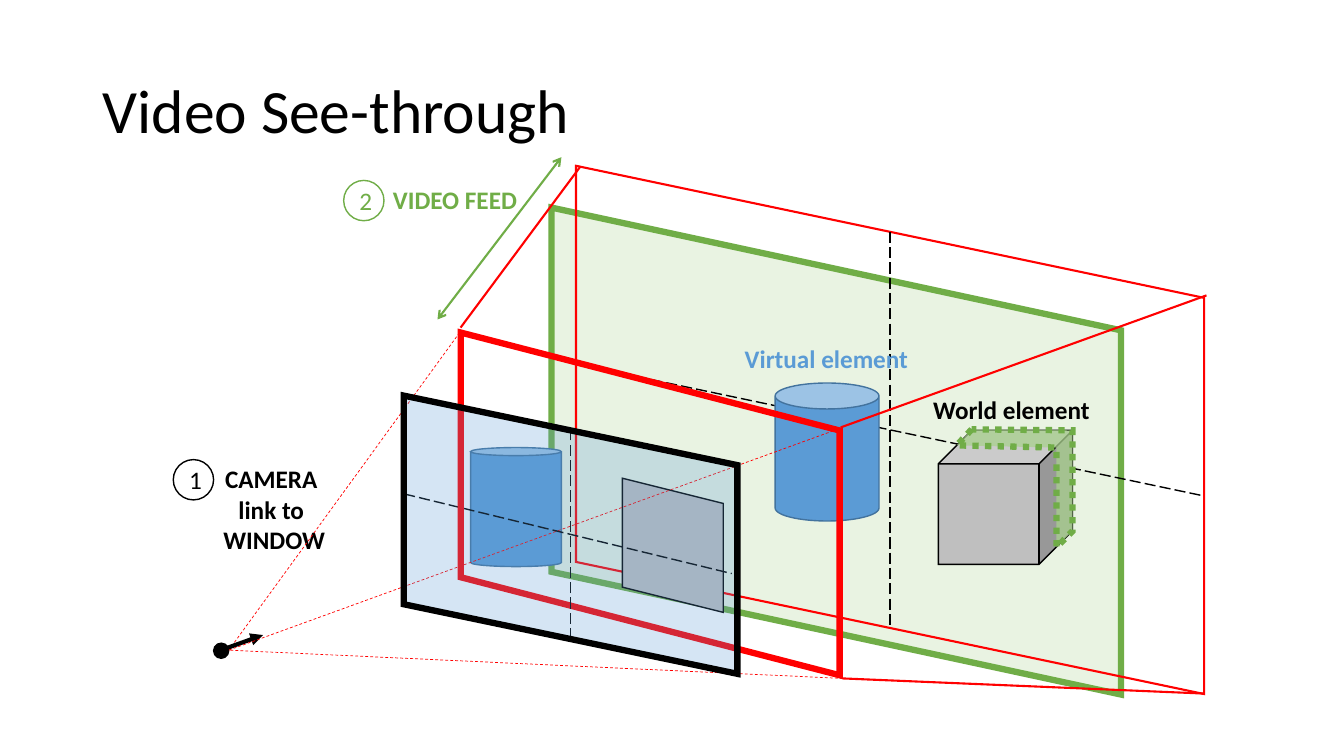
"""Build the slide on video see-through display geometry."""
from lxml import etree
from pptx import Presentation
from pptx.dml.color import RGBColor
from pptx.enum import dml, shapes, text
from pptx.oxml import ns
from pptx.util import Pt

INK = {"black": "000000", "white": "FFFFFF", "red": "FF0000",
       "green": "70AD47", "mint": "A9D18E", "blue": "5B9BD5",
       "navy": "43739E", "gray": "BFBFBF"}
RGB = {name: RGBColor.from_string(code) for name, code in INK.items()}
KIND = shapes.MSO_SHAPE
DASH = dml.MSO_LINE

deck = Presentation()
deck.slide_width, deck.slide_height = Pt(960), Pt(540)
slide = deck.slides.add_slide(deck.slide_layouts[5])
tree = slide.shapes


def style(item, fill, edge, width, alpha=100, dash=None):
    """Set fill, outline and sharp corners, with no shadow."""
    item.shadow.inherit = False
    if fill:
        item.fill.solid()
        item.fill.fore_color.rgb = RGB[fill]
        if alpha < 100:
            tone = item.fill._xPr.find(".//" + ns.qn("a:srgbClr"))
            etree.SubElement(tone, ns.qn("a:alpha"), val=str(alpha * 1000))
    else:
        item.fill.background()
    item.line.color.rgb = RGB[edge]
    item.line.width = Pt(width)
    if dash:
        item.line.dash_style = dash
    etree.SubElement(item.line._get_or_add_ln(), ns.qn("a:miter"), lim="800000")
    return item


def draw(ends, edge, width, dash=None, head=None, tail=None):
    """Draw a straight line through two points."""
    line = tree.add_connector(shapes.MSO_CONNECTOR.STRAIGHT, *map(Pt, ends))
    line.line.color.rgb = RGB[edge]
    line.line.width = Pt(width)
    if dash:
        line.line.dash_style = dash
    for tag, tip in (("a:headEnd", head), ("a:tailEnd", tail)):
        if tip:
            etree.SubElement(line.line._get_or_add_ln(), ns.qn(tag), type=tip)
    etree.SubElement(line._element.spPr, ns.qn("a:effectLst"))


title = tree.title
title.left, title.top, title.width, title.height = map(Pt, (66.2, 28.8, 828, 104.4))
frame = title.text_frame
frame.text = "Video See-through"
frame.auto_size = text.MSO_AUTO_SIZE.NONE
frame.vertical_anchor = text.MSO_ANCHOR.MIDDLE
head = frame.paragraphs[0]
head.alignment = text.PP_ALIGN.LEFT
head.line_spacing = 0.9
head.font.name, head.font.size = "Calibri", Pt(44)
head.font.color.rgb = RGB["black"]

feed = ((423.4, 118.8, 347.8, 406.8), 90, 0.252, "mint", "green", 4.5, 25)
far = ((447.1, 82.8, 377.3, 448.6), 90, 0.25, None, "red", 1.5, 100)
shade = ((432.7, 353.5, 95.8, 72), 270, 0.25, "gray", "black", 1, 100)
near = ((342, 224.6, 244.8, 270.7), 90, 0.286, None, "red", 4.5, 100)
pane = ((308.2, 262.8, 198.7, 238.3), 90, 0.25, "blue", "black", 4.5, 25)

plan = [
    ("panel", feed),
    ("panel", far),
    ("line", ((635.8, 165.6, 635.8, 448.6), "black", 1, DASH.LONG_DASH)),
    ("line", ((411.8, 259.9, 859.7, 354.2), "black", 1, DASH.LONG_DASH)),
    ("line", ((601.9, 484.6, 859.7, 495.4), "red", 1.5)),
    ("line", ((329, 234, 414.7, 118.8), "red", 1.5)),
    ("solid", (KIND.CUBE, (670.3, 307.4, 95.8, 95.8), 0.25, "gray", "black")),
    ("panel", shade),
    ("label", ("World element", (659.5, 277.9, 127.4, 28.8), "black")),
    ("label", ("CAMERA \nlink to \vWINDOW", (151.9, 327.6, 87.8, 72.7), "black")),
    ("line", ((328.3, 237.6, 163.4, 464.4), "red", 0.5, DASH.DASH)),
    ("line", ((601.9, 484.6, 163.4, 464.4), "red", 0.5, DASH.DASH)),
    ("solid", (KIND.OVAL, (152.6, 459.4, 10.8, 10.8), None, "black", "black")),
    ("line", ((159.8, 463.7, 187.9, 453.6), "black", 3, None, None, "triangle")),
    ("badge", ("1", (123.8, 328.3), "black")),
    ("solid", (KIND.CAN, (553.7, 273.6, 74.2, 98.6), 0.25, "blue", "navy")),
    ("line", ((600.5, 305.3, 861.8, 211), "red", 1.5)),
    ("label", ("Virtual element", (524.9, 241.9, 131.8, 28.8), "blue")),
    ("solid", (KIND.CAN, (336.2, 319.7, 64.8, 85), 0.089, "blue", "navy")),
    ("line", ((601.9, 305.3, 163.4, 464.4), "red", 0.5, DASH.DASH)),
    ("line", ((288.7, 352.8, 522.7, 409.7), "black", 1, DASH.LONG_DASH)),
    ("panel", near),
    ("line", ((407.5, 456.5, 407.5, 307.4), "black", 1, DASH.LONG_DASH)),
    ("panel", pane),
    ("label", ("VIDEO FEED", (273.6, 128.2, 103.7, 28.8), "green")),
    ("badge", ("2", (245.5, 128.9), "green")),
    ("line", ((401, 112.3, 312.5, 228.2), "green", 1.5, None, "arrow", "arrow")),
]

for sort, data in plan:
    if sort == "line":
        draw(*data)
    elif sort == "panel":
        box, turn, slant, fill, edge, width, alpha = data
        item = tree.add_shape(KIND.PARALLELOGRAM, *map(Pt, box))
        item.rotation = turn
        item.adjustments[0] = slant
        style(item, fill, edge, width, alpha)
    elif sort == "solid":
        kind, box, depth, fill, edge = data
        item = tree.add_shape(kind, *map(Pt, box))
        if depth:
            item.adjustments[0] = depth
        style(item, fill, edge, 1)
    else:
        words, box, tint = data
        if sort == "badge":
            item = tree.add_shape(KIND.OVAL, *map(Pt, (*box, 28.8, 28.8)))
            style(item, "white", tint, 1)
            item.text_frame.vertical_anchor = text.MSO_ANCHOR.MIDDLE
        else:
            item = tree.add_textbox(*map(Pt, box))
            item.text_frame.word_wrap = False
            item.text_frame.auto_size = text.MSO_AUTO_SIZE.SHAPE_TO_FIT_TEXT
        item.text_frame.text = words
        mid = sort == "badge" or "\n" in words
        for para in item.text_frame.paragraphs:
            para.alignment = text.PP_ALIGN.CENTER if mid else text.PP_ALIGN.LEFT
            para.font.name, para.font.size = "Calibri", Pt(18)
            para.font.bold = sort == "label"
            para.font.color.rgb = RGB[tint]

rim = [(694.1, 306.7), (683.3, 318.2), (754.6, 319.7),
       (754.6, 391), (766.1, 379.4), (766.1, 307.4)]
spots = [(Pt(x), Pt(y)) for x, y in rim]
path = tree.build_freeform(*spots[0])
path.add_line_segments(spots[1:], close=True)
style(path.convert_to_shape(), "mint", "green", 4.5, 75, DASH.ROUND_DOT)

deck.save("out.pptx")
